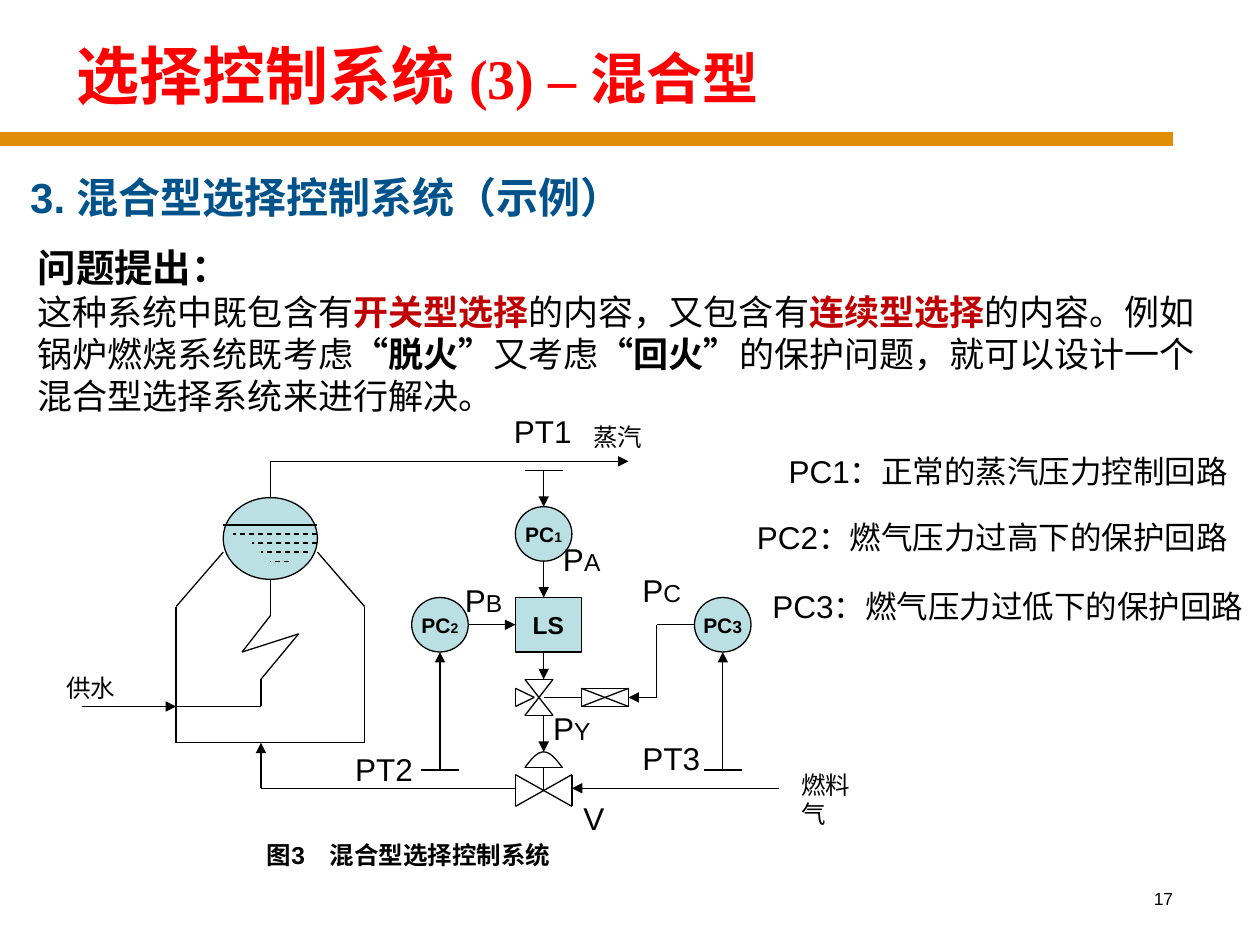
from dataclasses import dataclass
from math import pi, sin

from lxml import etree
from pptx import Presentation
from pptx.dml.color import RGBColor
from pptx.enum.dml import MSO_LINE
from pptx.enum.shapes import MSO_CONNECTOR, MSO_SHAPE
from pptx.enum.text import MSO_ANCHOR, MSO_AUTO_SIZE, PP_ALIGN
from pptx.oxml.ns import qn
from pptx.util import Cm, Pt

STRAIGHT = MSO_CONNECTOR.STRAIGHT
OVAL, RECTANGLE = MSO_SHAPE.OVAL, MSO_SHAPE.RECTANGLE
DASH = MSO_LINE.DASH
LEFT, CENTER, RIGHT = PP_ALIGN.LEFT, PP_ALIGN.CENTER, PP_ALIGN.RIGHT
TOP, MIDDLE = MSO_ANCHOR.TOP, MSO_ANCHOR.MIDDLE
GROW = MSO_AUTO_SIZE.SHAPE_TO_FIT_TEXT


@dataclass(frozen=True)
class Theme:
    black: str = "000000"
    title: str = "FF0000"
    heading: str = "00528B"
    emphasis: str = "C00000"
    bar: str = "DF8E05"
    vessel: str = "BBE0E3"
    latin: str = "Arial"
    serif: str = "Times New Roman"
    chinese: str = "Noto Sans CJK SC"
    title_size: int = 36
    subtitle_size: int = 32
    heading_size: int = 24
    lead_size: int = 22
    body_size: int = 20
    label_size: int = 18
    small_size: int = 14
    tag_size: int = 12
    number_size: int = 10
    index_size: int = 8
    line_spacing: float = 1.2


THEME = Theme()


@dataclass(frozen=True)
class Run:
    text: str
    size: int = THEME.label_size
    bold: bool = False
    color: str = THEME.black
    font: str = THEME.latin


@dataclass(frozen=True)
class TextBox:
    left: float
    top: float
    width: float
    height: float
    paragraphs: list[list[Run]]
    wrap: bool = False
    align: PP_ALIGN = LEFT
    anchor: MSO_ANCHOR = TOP
    inset: float = 0.25


@dataclass(frozen=True)
class Node:
    """A shape placed in grid columns and rows."""
    left: float
    top: float
    columns: float
    rows: float
    runs: list[Run]
    kind: MSO_SHAPE = OVAL


@dataclass(frozen=True)
class Wire:
    """Straight segments through grid points."""
    points: list[tuple[float, float]]
    arrow: bool = False
    dashed: bool = False


# Diagram grid
COLUMN = Cm(0.19)
ROW = Cm(6.59) / 36


def grid_x(column: float) -> int:
    return int(Cm(3.55) + column * COLUMN)


def grid_y(row: float) -> int:
    return int(Cm(9.3) + row * ROW)


def write(frame, paragraphs: list[list[Run]], align: PP_ALIGN) -> None:
    for index, runs in enumerate(paragraphs):
        paragraph = frame.paragraphs[0] if index == 0 else frame.add_paragraph()
        paragraph.alignment = align
        paragraph.line_spacing = Pt(THEME.line_spacing * runs[0].size)
        for item in runs:
            run = paragraph.add_run()
            run.text = item.text
            run.font.size = Pt(item.size)
            run.font.bold = item.bold
            run.font.name = item.font
            run.font.color.rgb = RGBColor.from_string(item.color)
            east_asian = etree.SubElement(run.font._element, qn("a:ea"))
            east_asian.set("typeface", THEME.chinese)


def draw_text(slide, box: TextBox) -> None:
    shape = slide.shapes.add_textbox(Cm(box.left), Cm(box.top), Cm(box.width), Cm(box.height))
    frame = shape.text_frame
    frame.word_wrap = box.wrap
    if not box.wrap:
        frame.auto_size = GROW
    frame.vertical_anchor = box.anchor
    frame.margin_left = Cm(box.inset)
    write(frame, box.paragraphs, box.align)


def draw_node(slide, node: Node):
    left, top = grid_x(node.left), grid_y(node.top)
    shape = slide.shapes.add_shape(node.kind, left, top, grid_x(node.left + node.columns) - left,
                                   grid_y(node.top + node.rows) - top)
    shape.shadow.inherit = False
    shape.fill.solid()
    shape.fill.fore_color.rgb = RGBColor.from_string(THEME.vessel)
    shape.line.color.rgb = RGBColor.from_string(THEME.black)
    shape.line.width = Pt(0.75)
    if node.runs:
        shape.text_frame.word_wrap = False
        shape.text_frame.vertical_anchor = MIDDLE
        write(shape.text_frame, [node.runs], CENTER)
    return shape


def draw_line(slide, start: tuple[int, int], end: tuple[int, int],
              color: str = THEME.black, width: float = 0.75):
    line = slide.shapes.add_connector(STRAIGHT, *start, *end)
    line.line.color.rgb = RGBColor.from_string(color)
    line.line.width = Pt(width)
    etree.SubElement(line._element.spPr, qn("a:effectLst"))
    return line


def draw_wire(slide, wire: Wire):
    spots = [(grid_x(column), grid_y(row)) for column, row in wire.points]
    for start, end in zip(spots, spots[1:]):
        line = draw_line(slide, start, end)
        if wire.dashed:
            line.line.dash_style = DASH
    if wire.arrow:
        etree.SubElement(line.line._get_or_add_ln(), qn("a:tailEnd")).set("type", "triangle")
    return line


def draw_dome(slide) -> None:
    steps = 16
    arc = [(grid_x(37 + 4 * step / steps), grid_y(33.75 - 1.75 * sin(pi * step / steps)))
           for step in range(steps + 1)]
    builder = slide.shapes.build_freeform(*arc[0])
    builder.add_line_segments(arc[1:], close=False)
    dome = builder.convert_to_shape()
    dome.shadow.inherit = False
    dome.fill.background()
    dome.line.color.rgb = RGBColor.from_string(THEME.black)
    dome.line.width = Pt(0.75)


def body(text: str, bold: bool = False, color: str = THEME.black) -> Run:
    return Run(text, THEME.body_size, bold, color)


def tag(index: str, size: int = THEME.index_size) -> list[Run]:
    return [Run("PC", THEME.tag_size, True), Run(index, size, True)]


TEXTS = [
    TextBox(18.62, 17.78, 5.28, 1.27, [[Run("17", THEME.number_size)]], True, RIGHT),
    TextBox(1.07, 0.43, 22.86, 2.13, [[
        Run("选择控制系统 ", THEME.title_size, True, THEME.title),
        Run("(3) – 混合型", THEME.subtitle_size, True, THEME.title, THEME.serif),
    ]], True, anchor=MIDDLE, inset=0.48),
    TextBox(0.1, 3.33, 22.25, 1.55, [[
        Run("3. ", THEME.heading_size, True, THEME.heading),
        Run("混合型选择控制系统（示例）", THEME.heading_size, True, THEME.heading, THEME.chinese),
    ]], True, inset=0.51),
    TextBox(0.51, 4.8, 24, 3.73, [
        [Run("问题提出：", THEME.lead_size, True)],
        [body("这种系统中既包含有"), body("开关型选择", True, THEME.emphasis),
         body("的内容，又包含有"), body("连续型选择", True, THEME.emphasis),
         body("的内容。例如锅炉燃烧系统既考虑"), body("“脱火”", True), body("又考虑"),
         body("“回火”", True), body("的保护问题，就可以设计一个混合型选择系统来进行解决。")],
    ], True),
    TextBox(5.13, 16.81, 6.5, 0.86, [[Run("图3　混合型选择控制系统", THEME.small_size, True)]]),
]
# Media, transmitters, signals and legend: left, top, width, text
MEDIA = [(11.71, 8.38, 1.5, "蒸汽"), (15.9, 15.39, 1.98, "燃料气"), (1.09, 13.44, 1.5, "供水")]
LABELS = [(10.11, 8.18, 1.68, "PT1"), (6.91, 14.99, 1.68, "PT2"), (12.7, 14.78, 1.68, "PT3"),
          (15.65, 8.99, 9.5, "PC1：正常的蒸汽压力控制回路"),
          (15.01, 10.31, 10.13, "PC2：燃气压力过高下的保护回路"),
          (15.32, 11.71, 10.13, "PC3：燃气压力过低下的保护回路")]
SIGNALS = [(11.1, 10.77, "P", "A"), (9.12, 11.58, "P", "B"), (12.7, 11.38, "P", "C"),
           (10.9, 14.17, "P", "Y"), (11.51, 15.98, "V", "")]

NODES = [
    Node(5, 4, 10, 9, []),
    Node(36, 5, 6, 6, tag("1")),
    Node(25, 15, 6, 6, tag("2")),
    Node(55, 15, 6, 6, tag("3", THEME.number_size)),
]
SELECTOR = Node(36, 15, 7, 6, [Run("LS", THEME.small_size, True)], RECTANGLE)

WIRES = [
    # Boiler, steam and water
    Wire([(10, 4), (10, 0), (48, 0)], arrow=True),
    Wire([(15, 10), (20, 16), (20, 31), (0, 31), (0, 16), (5, 10)]),
    Wire([(-10, 27), (0, 27)], arrow=True),
    Wire([(0, 27), (9, 27), (9, 24), (13, 19), (7, 21), (10, 17), (10, 13)]),
    # Water level in the drum
    Wire([(15, 7), (5, 7)]),
    *[Wire([(right, row), (left, row)], dashed=True)
      for right, left, row in [(15, 6, 8), (15, 8, 9), (14, 9, 10), (12, 10, 11)]],
    # Pressure taps
    Wire([(37, 1), (41, 1)]),
    Wire([(39, 1), (39, 5)], arrow=True),
    Wire([(26, 34), (30, 34)]),
    Wire([(28, 34), (28, 21)], arrow=True),
    Wire([(56, 34), (60, 34)]),
    Wire([(58, 34), (58, 21)], arrow=True),
    # Control signals
    Wire([(39, 11), (39, 15)], arrow=True),
    Wire([(39, 21), (39, 24)], arrow=True),
    Wire([(39, 28), (39, 32)], arrow=True),
    Wire([(55, 18), (51, 18), (51, 26), (48, 26)], arrow=True),
    Wire([(43, 26), (39, 26)]),
    # Three-way valve and switch
    Wire([(37, 24), (40, 28), (37, 28), (40, 24), (37, 24)]),
    Wire([(38, 26), (36, 25), (36, 27), (38, 26)]),
    Wire([(43, 25), (43, 27), (48, 27), (48, 25), (43, 25), (48, 27)]),
    Wire([(48, 25), (43, 27)]),
    # Fuel line and control valve
    Wire([(64, 36), (42, 36)], arrow=True),
    Wire([(36, 36), (9, 36), (9, 31)], arrow=True),
    Wire([(42, 34.5), (36, 38), (36, 34.5), (42, 38), (42, 34.5)]),
    Wire([(39, 36.25), (39, 33.75)]),
    Wire([(37, 33.75), (41, 33.75)]),
]


def main() -> None:
    presentation = Presentation()
    presentation.slide_width, presentation.slide_height = Cm(25.4), Cm(19.05)
    slide = presentation.slides.add_slide(presentation.slide_layouts[6])

    # Title bar and running text
    draw_line(slide, (0, Cm(2.8)), (Cm(23.65), Cm(2.8)), THEME.bar, 8)
    for box in TEXTS:
        draw_text(slide, box)

    # Process diagram
    for node in NODES:
        draw_node(slide, node)
    selector = draw_node(slide, SELECTOR)
    for wire in WIRES:
        draw_wire(slide, wire)
    draw_wire(slide, Wire([(31, 18), (36, 18)], arrow=True)).end_connect(selector, 1)
    draw_dome(slide)

    # Labels
    for left, top, width, text in MEDIA:
        draw_text(slide, TextBox(left, top, width, 0.86, [[Run(text, THEME.small_size)]]))
    for left, top, width, text in LABELS:
        draw_text(slide, TextBox(left, top, width, 1.02, [[Run(text)]]))
    for left, top, letter, index in SIGNALS:
        runs = [Run(letter)] + ([Run(index, THEME.small_size)] if index else [])
        draw_text(slide, TextBox(left, top, 1.9, 1.02, [runs], True))

    presentation.save("out.pptx")


if __name__ == "__main__":
    main()
